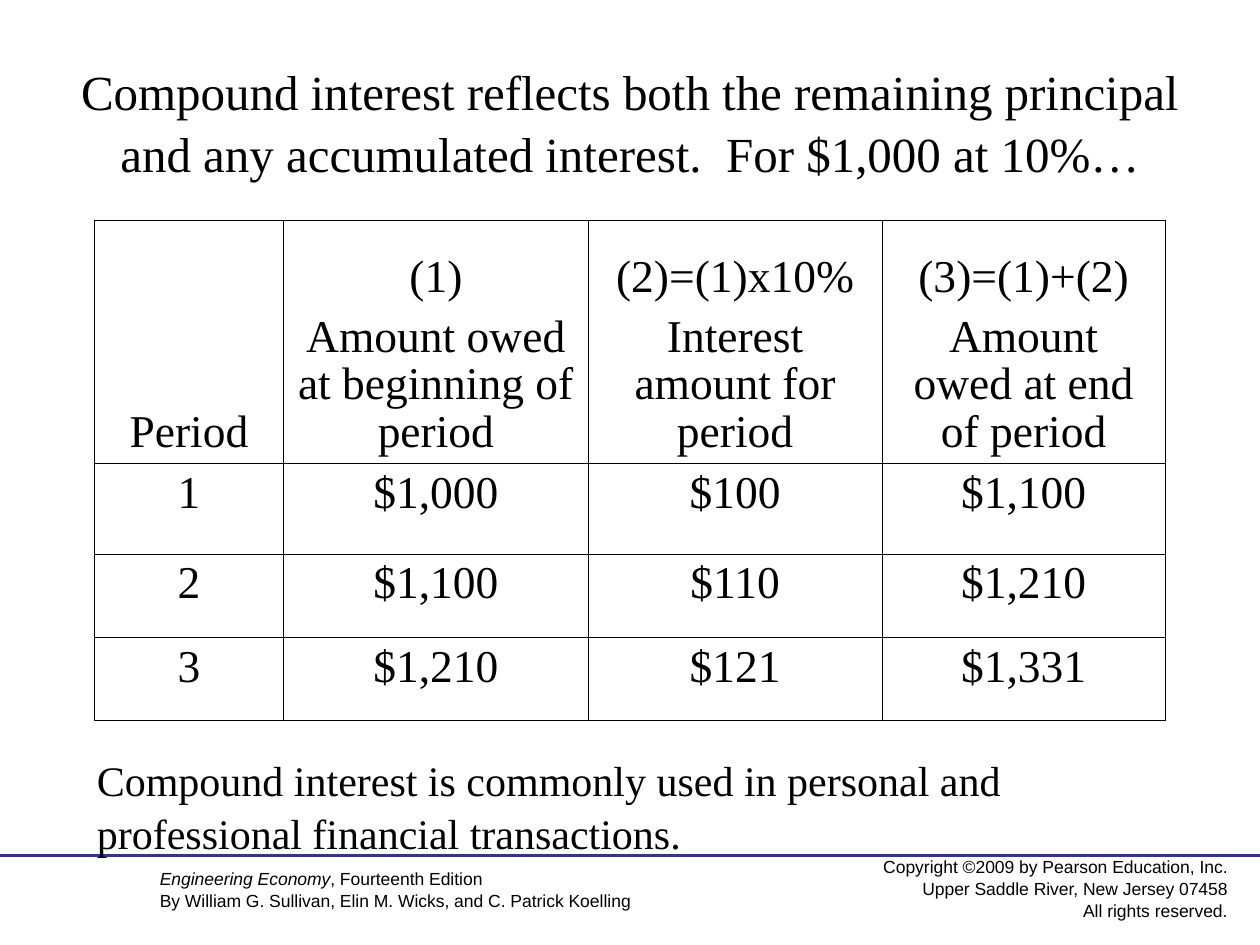
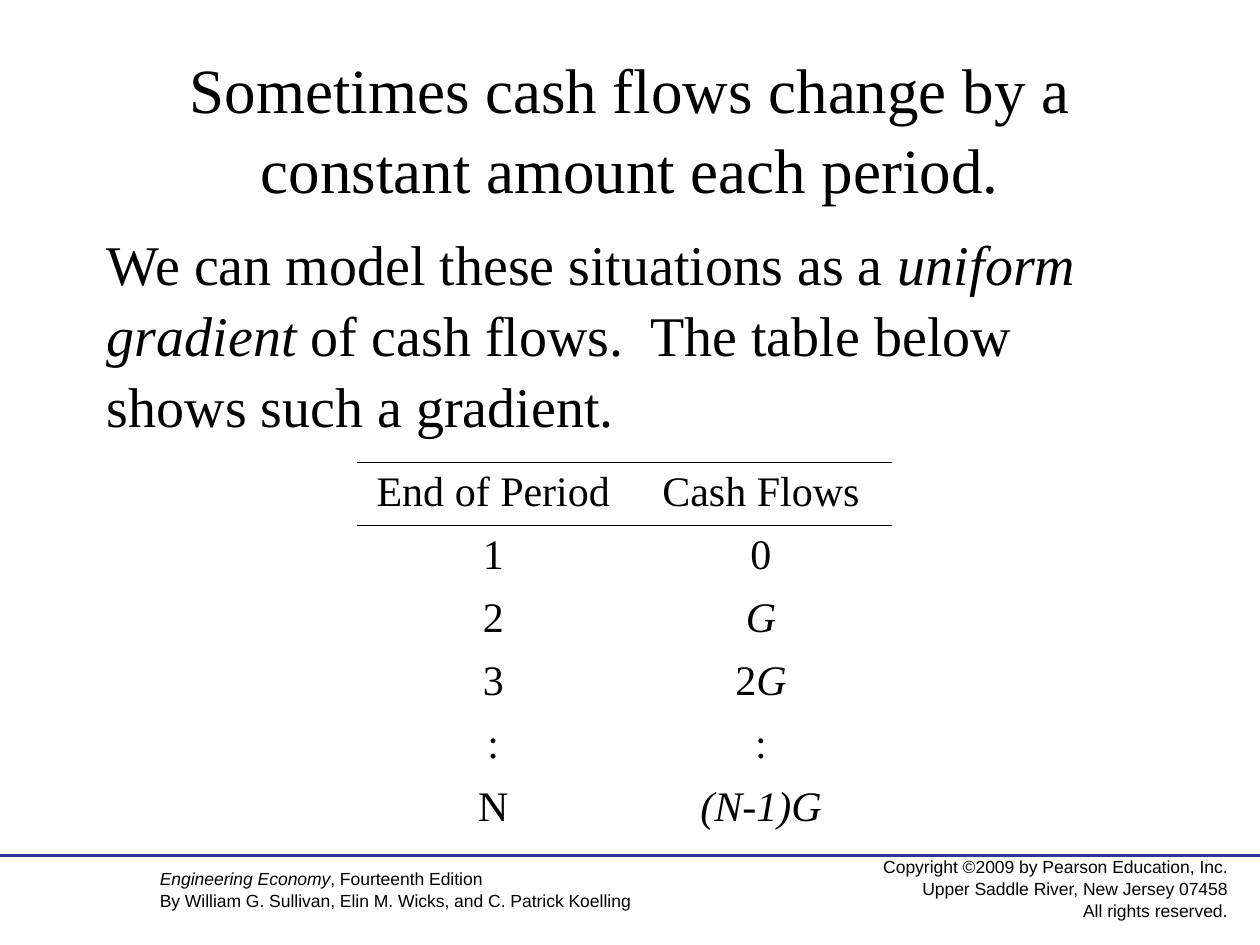
from dataclasses import dataclass

import pptx
import pptx.dml.color
import pptx.enum.shapes
import pptx.enum.text
import pptx.oxml
import pptx.oxml.ns
import pptx.util

Inches = pptx.util.Inches
Pt = pptx.util.Pt
ALIGN = pptx.enum.text.PP_ALIGN
ANCHOR = pptx.enum.text.MSO_ANCHOR

COLORS = {"text": "000000", "rule": "333399", "border": "000000"}
SERIF, SANS = "Times New Roman", "Arial"
THICK, THIN = 1.08, 0.45
SIDES = ("L", "R", "T", "B")


@dataclass
class TextBox:
    left: float
    top: float
    width: float
    height: float
    text: str
    size: float
    font: str = SERIF
    align: ALIGN = ALIGN.LEFT
    anchor: ANCHOR = ANCHOR.TOP


@dataclass
class Table:
    left: float
    top: float
    cols: list[float]
    rows: list[float]
    cells: list[list[str]]
    size: float
    space: float
    line_spacing: float
    header_anchor: ANCHOR
    boxed: bool


FOOTERS = [
    TextBox(6.67, 6.75, 3.17, 0.59,
            "Copyright ©2009 by Pearson Education, Inc.\n"
            "Upper Saddle River, New Jersey 07458\n"
            "All rights reserved.",
            10, SANS, ALIGN.RIGHT, ANCHOR.MIDDLE),
    TextBox(1.17, 6.83, 5, 0.44,
            "*Engineering Economy*, Fourteenth Edition\n"
            "By William G. Sullivan, Elin M. Wicks, and C. Patrick Koelling",
            10, SANS),
]

INTEREST_TABLE = Table(
    0.75, 1.75, [1.5, 2.42, 2.33, 2.25], [1.93, 0.72, 0.66, 0.66],
    [["Period", "(1)\nAmount owed at beginning of period",
      "(2)=(1)x10%\nInterest amount for period",
      "(3)=(1)+(2)\nAmount owed at end of period"],
     ["1", "$1,000", "$100", "$1,100"],
     ["2", "$1,100", "$110", "$1,210"],
     ["3", "$1,210", "$121", "$1,331"]],
    size=26, space=6.5, line_spacing=0.95,
    header_anchor=ANCHOR.BOTTOM, boxed=True)

GRADIENT_TABLE = Table(
    2.83, 3.67, [2.17, 2.08], [0.5] * 6,
    [["End of Period", "Cash Flows"], ["1", "0"], ["2", "*G*"],
     ["3", "2*G*"], [":", ":"], ["N", "*(N-1)G*"]],
    size=24, space=6, line_spacing=1.0,
    header_anchor=ANCHOR.TOP, boxed=False)


def write(tf, text: str, *, size: float, font: str = SERIF,
          align: ALIGN = ALIGN.LEFT, space: float = 0,
          line_spacing: float = 1.05) -> None:
    """Write one paragraph per line; parts between asterisks are italic."""
    for i, line in enumerate(text.split("\n")):
        p = tf.paragraphs[0] if i == 0 else tf.add_paragraph()
        p.alignment = align
        p.line_spacing = line_spacing
        p.space_before = Pt(space if i else 0)
        for j, part in enumerate(line.split("*")):
            if not part:
                continue
            r = p.add_run()
            r.text = part
            r.font.name = font
            r.font.size = Pt(size)
            r.font.italic = j % 2 == 1
            r.font.color.rgb = pptx.dml.color.RGBColor.from_string(COLORS["text"])


def add_text(slide, box: TextBox) -> None:
    sp = slide.shapes.add_textbox(Inches(box.left), Inches(box.top),
                                  Inches(box.width), Inches(box.height))
    tf = sp.text_frame
    tf.word_wrap = True
    tf.vertical_anchor = box.anchor
    write(tf, box.text, size=box.size, font=box.font, align=box.align)


def set_borders(cell, widths: dict[str, float]) -> None:
    """Draw the given sides in points; a width of 0 means no line."""
    tc_pr = cell._tc.get_or_add_tcPr()
    ns = pptx.oxml.ns.nsdecls("a")
    for i, side in enumerate(SIDES):
        width = widths[side]
        fill = (f'<a:solidFill><a:srgbClr val="{COLORS["border"]}"/></a:solidFill>'
                if width else "<a:noFill/>")
        tc_pr.insert(i, pptx.oxml.parse_xml(
            f'<a:ln{side} {ns} w="{int(Pt(width))}">{fill}</a:ln{side}>'))


def border_widths(spec: Table, row: int, col: int) -> dict[str, float]:
    if not spec.boxed:
        return {"L": 0, "R": 0, "T": THIN if row < 2 else 0,
                "B": THIN if row == 0 else 0}
    outer = {"L": col == 0, "R": col == len(spec.cols) - 1,
             "T": row == 0, "B": row == len(spec.rows) - 1}
    return {side: THICK if outer[side] else THIN for side in SIDES}


def add_table(slide, spec: Table) -> None:
    frame = slide.shapes.add_table(
        len(spec.rows), len(spec.cols), Inches(spec.left), Inches(spec.top),
        Inches(sum(spec.cols)), Inches(sum(spec.rows)))
    table = frame.table
    table.first_row = table.horz_banding = False
    for column, width in zip(table.columns, spec.cols):
        column.width = Inches(width)
    for row, height in zip(table.rows, spec.rows):
        row.height = Inches(height)
    for i, texts in enumerate(spec.cells):
        for j, text in enumerate(texts):
            cell = table.cell(i, j)
            cell.fill.background()
            cell.vertical_anchor = spec.header_anchor if i == 0 else ANCHOR.TOP
            set_borders(cell, border_widths(spec, i, j))
            write(cell.text_frame, text, size=spec.size, align=ALIGN.CENTER,
                  space=spec.space, line_spacing=spec.line_spacing)


def add_footer(slide) -> None:
    for box in FOOTERS:
        add_text(slide, box)
    y = Inches(6.79)
    rule = slide.shapes.add_connector(
        pptx.enum.shapes.MSO_CONNECTOR.STRAIGHT, 0, y, Inches(10), y)
    rule.line.width = Pt(2.25)
    rule.line.color.rgb = pptx.dml.color.RGBColor.from_string(COLORS["rule"])
    rule._element.spPr.append(pptx.oxml.parse_xml(
        f'<a:effectLst {pptx.oxml.ns.nsdecls("a")}/>'))


def add_slide(prs, title: TextBox, body: TextBox, table: Table) -> None:
    slide = prs.slides.add_slide(prs.slide_layouts[6])
    add_footer(slide)
    title.align, title.anchor = ALIGN.CENTER, ANCHOR.MIDDLE
    add_text(slide, title)
    add_text(slide, body)
    add_table(slide, table)


def main() -> None:
    prs = pptx.Presentation()
    prs.slide_width, prs.slide_height = Inches(10), Inches(7.5)
    add_slide(
        prs,
        TextBox(0.5, 0.33, 9, 1.25,
                "Compound interest reflects both the remaining principal and "
                "any accumulated interest.  For $1,000 at 10%…", 28),
        TextBox(0.67, 5.92, 8.92, 0.9,
                "Compound interest is commonly used in personal and "
                "professional financial transactions.", 24),
        INTEREST_TABLE)
    add_slide(
        prs,
        TextBox(0.75, 0.42, 8.5, 1.17,
                "Sometimes cash flows change by a constant amount each period.", 36),
        TextBox(0.75, 1.75, 8.5, 2,
                "We can model these situations as a *uniform gradient* of cash "
                "flows.  The table below shows such a gradient.", 32),
        GRADIENT_TABLE)
    prs.save("out.pptx")


if __name__ == "__main__":
    main()
